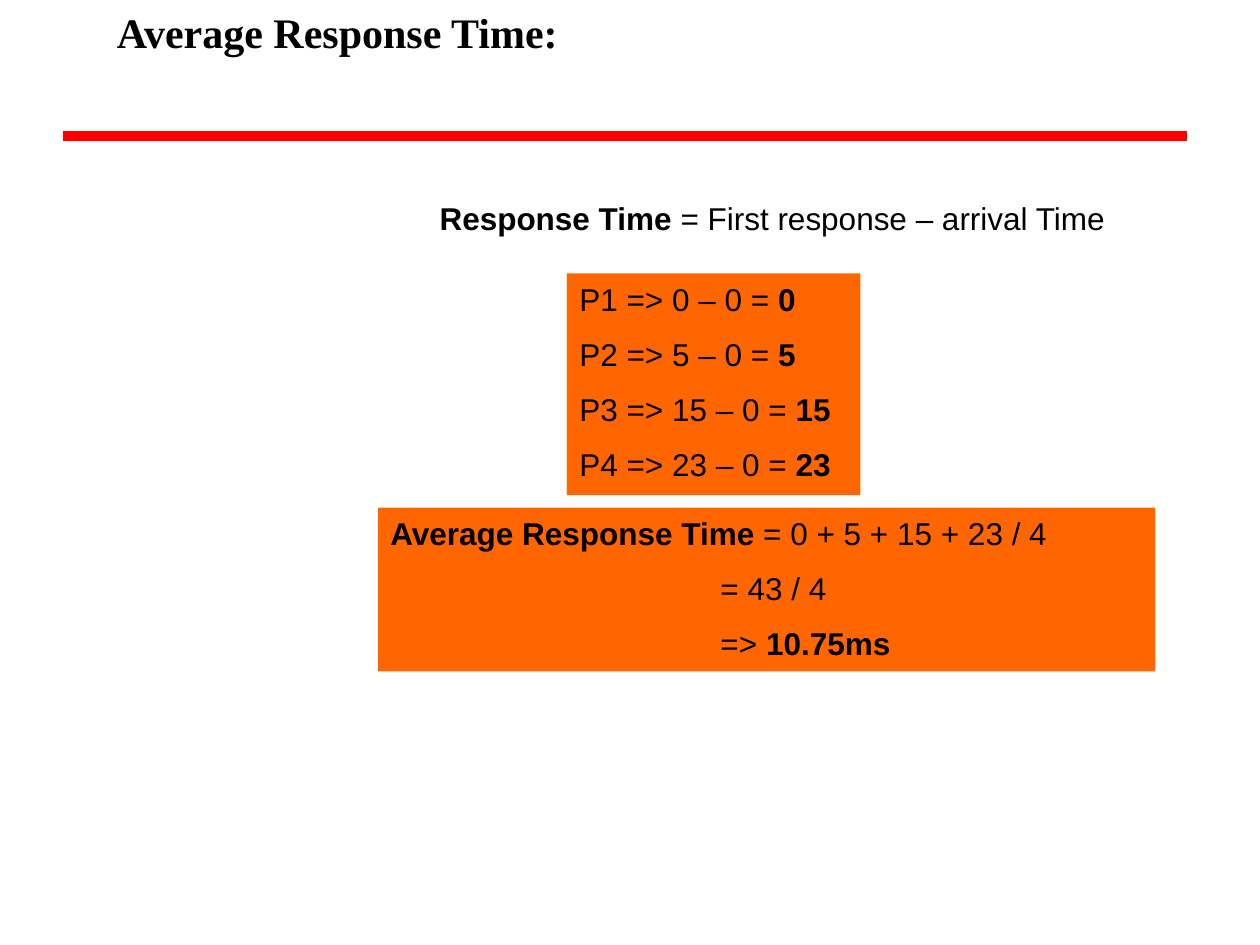
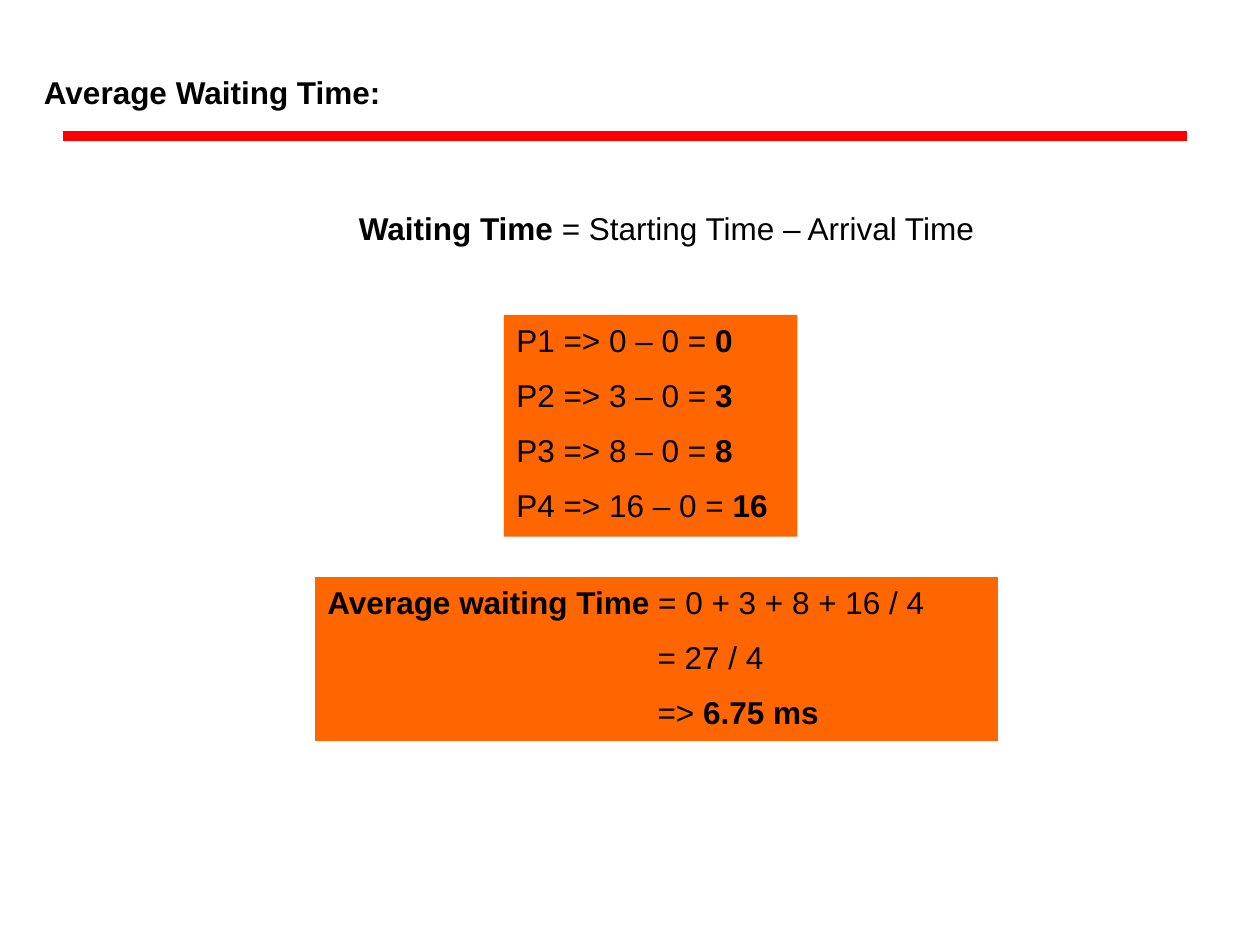
from dataclasses import dataclass

from lxml.etree import SubElement
from pptx import Presentation
from pptx.dml.color import RGBColor
from pptx.enum.shapes import MSO_CONNECTOR, MSO_SHAPE
from pptx.enum.text import MSO_ANCHOR, PP_ALIGN
from pptx.oxml.ns import qn
from pptx.util import Inches, Pt


@dataclass(frozen=True)
class Theme:
    ink: RGBColor = RGBColor(0x00, 0x00, 0x00)
    panel: RGBColor = RGBColor(0xFF, 0x66, 0x00)
    rule: RGBColor = RGBColor(0xFF, 0x00, 0x00)
    rule_width: Pt = Pt(6)
    body_font: str = "Arial"
    body_size: int = 18
    title_font: str = "Times New Roman"
    title_size: int = 24
    paragraph_gap: Pt = Pt(9.9)
    equals_indent: Inches = Inches(2.62)


THEME = Theme()
LINE_HEIGHT = 0.39


def add_header_rule(slide):
    rule = slide.shapes.add_connector(
        MSO_CONNECTOR.STRAIGHT, Inches(0.5), Inches(1.08), Inches(9.42), Inches(1.08))
    rule.line.color.rgb = THEME.rule
    rule.line.width = THEME.rule_width
    SubElement(rule.element.spPr, qn("a:effectLst"))


def write_lines(frame, lines, font=THEME.body_font, size=THEME.body_size):
    """Write each line, a list of (text, bold) runs, as one paragraph."""
    frame.word_wrap = True
    frame.vertical_anchor = MSO_ANCHOR.TOP
    for index, line in enumerate(lines):
        paragraph = frame.add_paragraph() if index else frame.paragraphs[0]
        paragraph.alignment = PP_ALIGN.LEFT
        if index:
            paragraph.space_before = THEME.paragraph_gap
        for text, bold in line:
            run = paragraph.add_run()
            run.text = text
            run.font.name = font
            run.font.size = Pt(size)
            run.font.bold = bold
            run.font.color.rgb = THEME.ink


def add_text(slide, left, top, width, height, line, **style):
    box = slide.shapes.add_textbox(*map(Inches, (left, top, width, height)))
    write_lines(box.text_frame, [line], **style)


def add_panel(slide, left, top, width, height, lines):
    panel = slide.shapes.add_shape(
        MSO_SHAPE.RECTANGLE, *map(Inches, (left, top, width, height)))
    panel.shadow.inherit = False
    panel.fill.solid()
    panel.fill.fore_color.rgb = THEME.panel
    panel.line.fill.background()
    write_lines(panel.text_frame, lines)
    return panel


def add_process_times(slide, left, top, times):
    """List each process's time, given that all processes arrive at 0."""
    lines = [[(f"P{number} => {time} – 0 = ", False), (str(time), True)]
             for number, time in enumerate(times, start=1)]
    add_panel(slide, left, top, 2.33, 1.76, lines)


def add_average(slide, left, top, width, label, times, result):
    """Work out the average, with later lines aligned at the equals sign."""
    total, count = sum(times), len(times)
    terms = " + ".join(map(str, times))
    panel = add_panel(slide, left, top, width, 1.3, [
        [(label, True), (f" = {terms} / {count}", False)],
        [(f"= {total} / {count}", False)],
        [("=> ", False), (result, True)],
    ])
    for paragraph in panel.text_frame.paragraphs[1:]:
        properties = paragraph._p.get_or_add_pPr()
        properties.set("marL", str(THEME.equals_indent))
        properties.set("indent", "0")


def new_slide(deck):
    slide = deck.slides.add_slide(deck.slide_layouts[6])
    add_header_rule(slide)
    return slide


def build_response_slide(deck):
    slide = new_slide(deck)
    response_times = [0, 5, 15, 23]
    add_text(slide, 3.39, 1.53, 6.11, LINE_HEIGHT,
             [("Response Time", True), (" = First response – arrival Time", False)])
    add_process_times(slide, 4.5, 2.17, response_times)
    add_average(slide, 3, 4.03, 6.17, "Average Response Time", response_times, "10.75ms")
    add_text(slide, 0.83, 0, 6.03, 0.5, [("Average Response Time:", True)],
             font=THEME.title_font, size=THEME.title_size)


def build_waiting_slide(deck):
    slide = new_slide(deck)
    waiting_times = [0, 3, 8, 16]
    add_text(slide, 0.25, 0.53, 3.92, LINE_HEIGHT, [("Average Waiting Time:", True)])
    add_text(slide, 2.75, 1.61, 5.33, LINE_HEIGHT,
             [("Waiting Time", True), (" = Starting Time – Arrival Time", False)])
    add_process_times(slide, 4, 2.5, waiting_times)
    add_average(slide, 2.5, 4.58, 5.42, "Average waiting Time", waiting_times, "6.75 ms")


def main():
    deck = Presentation()
    deck.slide_width, deck.slide_height = Inches(10), Inches(7.5)
    build_response_slide(deck)
    build_waiting_slide(deck)
    deck.save("out.pptx")


if __name__ == "__main__":
    main()
